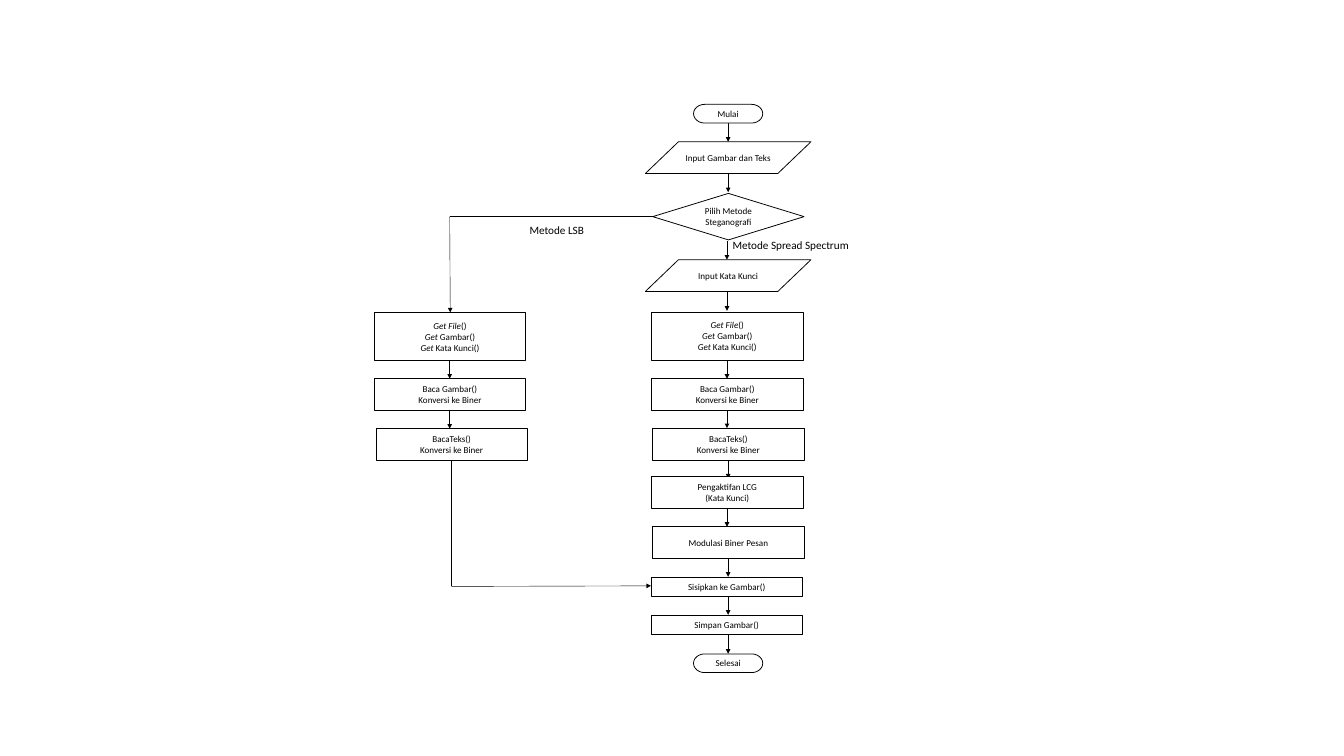
from lxml import etree
from pptx import Presentation
from pptx.dml.color import RGBColor
from pptx.enum.shapes import MSO_CONNECTOR, MSO_SHAPE
from pptx.enum.text import MSO_ANCHOR, PP_ALIGN
from pptx.oxml.ns import qn
from pptx.util import Inches, Pt

BLACK = RGBColor(0, 0, 0)
WHITE = RGBColor(255, 255, 255)
FONT = "Calibri"
LEFT, CENTER = PP_ALIGN.LEFT, PP_ALIGN.CENTER
TOP, MIDDLE = MSO_ANCHOR.TOP, MSO_ANCHOR.MIDDLE
STRAIGHT = MSO_CONNECTOR.STRAIGHT
END = MSO_SHAPE.FLOWCHART_TERMINATOR
DATA = MSO_SHAPE.FLOWCHART_DATA
CHOICE = MSO_SHAPE.FLOWCHART_DECISION
STEP = MSO_SHAPE.FLOWCHART_PROCESS

deck = Presentation()
deck.slide_width, deck.slide_height = Inches(23.7), Inches(13.33)
slide = deck.slides.add_slide(deck.slide_layouts[6])


def write(shape, text, size=11.5, align=CENTER, anchor=MIDDLE):
    """Fill a shape with lines of text; parts between asterisks are italic."""
    frame = shape.text_frame
    frame.word_wrap = True
    frame.vertical_anchor = anchor
    frame.margin_left = frame.margin_right = Inches(0.1)
    frame.margin_top = frame.margin_bottom = Inches(0.05)
    for row, line in enumerate(text.split("\n")):
        para = frame.add_paragraph() if row else frame.paragraphs[0]
        para.alignment = align
        for part, words in enumerate(line.split("*")):
            if words:
                run = para.add_run()
                run.text = words
                run.font.name, run.font.size = FONT, Pt(size)
                run.font.italic = part % 2 == 1
                run.font.color.rgb = BLACK


def link(x1, y1, x2, y2, arrow=True):
    """Draw a thin line, with an arrowhead at its end if asked."""
    line = slide.shapes.add_connector(
        STRAIGHT, Inches(x1), Inches(y1), Inches(x2), Inches(y2))
    line.line.color.rgb = BLACK
    line.line.width = Pt(0.5)
    if arrow:
        tail = etree.SubElement(line.line._ln, qn("a:tailEnd"))
        tail.set("type", "triangle")
    etree.SubElement(line._element.spPr, qn("a:effectLst"))


# Short arrows between steps: column x and the top of each
GAP = 0.33
drops = [
    (12.84, (2.17, 3.06, 8.11, 9.84, 10.51, 11.2)),
    (12.82, (4.25, 5.15, 6.35, 7.22, 8.96)),
    (7.93, (6.35, 7.23)),
]
for x, tops in drops:
    for top in tops:
        link(x, top, x, top + GAP)

# Width and height of each kind of box
OVAL, SLANT, GEM = (1.22, 0.33), (2.92, 0.56), (2.67, 0.82)
LOW, MID, HIGH = (2.67, 0.33), (2.67, 0.56), (2.67, 0.85)

GET = "*Get File*()\n*Get *Gambar()\n*Get *Kata Kunci()"
IMAGE = "Baca Gambar()\nKonversi ke Biner"
TEXT = "BacaTeks()\nKonversi ke Biner"

boxes = [
    (END, 12.23, 1.84, OVAL, "Mulai"),
    (DATA, 11.38, 2.5, SLANT, "Input Gambar dan Teks"),
    (CHOICE, 11.51, 3.41, GEM, "Pilih Metode Steganografi"),
    (DATA, 11.38, 4.58, SLANT, "Input Kata Kunci"),
    (STEP, 11.49, 5.5, HIGH, GET),
    (STEP, 11.49, 6.67, MID, IMAGE),
    (STEP, 11.51, 7.55, MID, TEXT),
    (STEP, 11.49, 8.4, MID, "Pengaktifan LCG\n(Kata Kunci)"),
    (STEP, 11.51, 9.29, MID, "Modulasi Biner Pesan"),
    (STEP, 11.48, 10.18, LOW, "Sisipkan ke Gambar()"),
    (STEP, 11.48, 10.86, LOW, "Simpan Gambar()"),
    (END, 12.23, 11.53, OVAL, "Selesai"),
    (STEP, 6.6, 5.51, HIGH, GET),
    (STEP, 6.6, 6.67, MID, IMAGE),
    (STEP, 6.63, 7.56, MID, TEXT),
]
for kind, x, y, (wide, high), text in boxes:
    box = slide.shapes.add_shape(
        kind, Inches(x), Inches(y), Inches(wide), Inches(high))
    box.shadow.inherit = False
    box.fill.solid()
    box.fill.fore_color.rgb = WHITE
    box.line.color.rgb = BLACK
    box.line.width = Pt(1)
    write(box, text)

# LSB branch: out to the left column and back into the main one
link(11.51, 3.82, 7.93, 3.82, arrow=False)
link(7.93, 3.82, 7.94, 5.51)
link(7.96, 8.11, 7.96, 10.34, arrow=False)
link(7.96, 10.34, 11.48, 10.33)

labels = [
    (12.82, 4.16, 2.9, "Metode Spread Spectrum"),
    (9.24, 3.89, 1.86, "Metode LSB"),
]
for x, y, wide, text in labels:
    label = slide.shapes.add_textbox(
        Inches(x), Inches(y), Inches(wide), Inches(0.34))
    write(label, text, size=14.2, align=LEFT, anchor=TOP)

deck.save("out.pptx")
